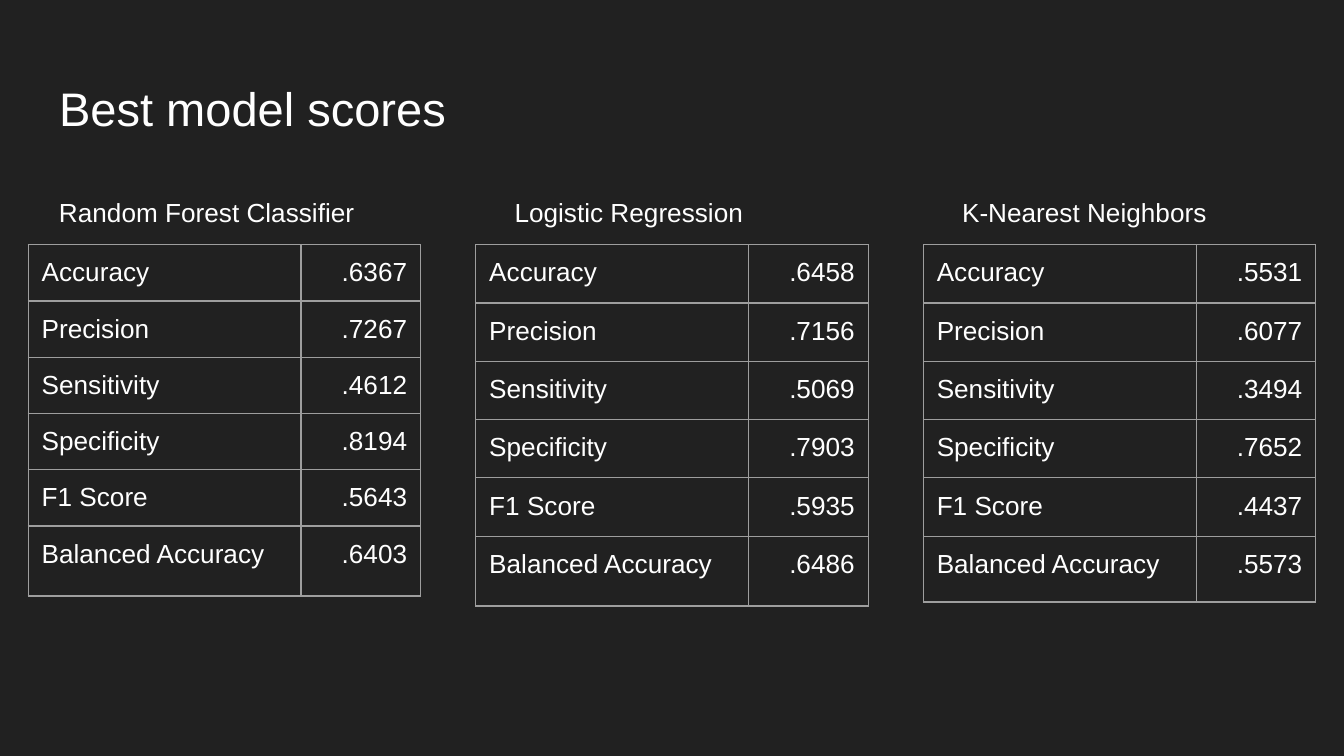
from dataclasses import dataclass

from lxml.etree import SubElement
from pptx import Presentation
from pptx.dml.color import RGBColor
from pptx.enum.text import MSO_ANCHOR, PP_ALIGN
from pptx.oxml.ns import qn
from pptx.util import Inches, Pt


@dataclass(frozen=True)
class Theme:
    background: str = "212121"
    text: str = "FFFFFF"
    border: str = "9E9E9E"
    font: str = "Arial"
    title_size: float = 25.2
    body_size: float = 14
    border_width: float = 0.75
    inset: float = 0.1


THEME = Theme()

# Grid, in inches, on a 16:9 slide
SLIDE_WIDTH = 10
SLIDE_HEIGHT = SLIDE_WIDTH * 9 / 16
MARGIN, COLUMN_PITCH = 0.21, 3.33
TITLE_BOX = (0.34, 0.49, 9.32, 0.63)
LABEL_TOP, LABEL_WIDTH, LABEL_HEIGHT = 1.36, 2.55, 0.44
TABLE_TOP = 1.82
METRIC_WIDTH, SCORE_WIDTH = 2.03, 0.89

METRICS = ("Accuracy", "Precision", "Sensitivity", "Specificity",
           "F1 Score", "Balanced Accuracy")

# Model name, label indent, row height, last row height, scores
MODELS = (
    ("Random Forest Classifier", 0.13, 0.38, 0.52,
     (".6367", ".7267", ".4612", ".8194", ".5643", ".6403")),
    ("Logistic Regression", 0.19, 0.38, 0.52,
     (".6458", ".7156", ".5069", ".7903", ".5935", ".6486")),
    ("K-Nearest Neighbors", 0.19, 0.41, 0.49,
     (".5531", ".6077", ".3494", ".7652", ".4437", ".5573")),
)


def write(frame, text, size, align=PP_ALIGN.LEFT):
    para = frame.paragraphs[0]
    para.text = text
    para.alignment = align
    para.font.size = Pt(size)
    para.font.name = THEME.font
    para.font.color.rgb = RGBColor.from_string(THEME.text)


def set_insets(target):
    """Set equal margins on a text frame or a table cell."""
    target.margin_left = target.margin_right = Inches(THEME.inset)
    target.margin_top = target.margin_bottom = Inches(THEME.inset)
    target.vertical_anchor = MSO_ANCHOR.TOP


def fill_title(slide, text):
    title = slide.shapes.title
    title.left, title.top, title.width, title.height = map(Inches, TITLE_BOX)
    set_insets(title.text_frame)
    write(title.text_frame, text, THEME.title_size)


def add_label(slide, left, text):
    box = slide.shapes.add_textbox(Inches(left), Inches(LABEL_TOP),
                                   Inches(LABEL_WIDTH), Inches(LABEL_HEIGHT))
    box.text_frame.word_wrap = True
    set_insets(box.text_frame)
    write(box.text_frame, text, THEME.body_size)


def add_borders(cell):
    properties = cell._tc.get_or_add_tcPr()
    for position, side in enumerate(("a:lnL", "a:lnR", "a:lnT", "a:lnB")):
        line = properties.makeelement(qn(side), {"w": str(Pt(THEME.border_width))})
        properties.insert(position, line)
        fill = SubElement(line, qn("a:solidFill"))
        SubElement(fill, qn("a:srgbClr"), val=THEME.border)


def fill_cell(cell, text, align):
    cell.fill.background()
    set_insets(cell)
    write(cell.text_frame, text, THEME.body_size, align)
    add_borders(cell)


def add_score_table(slide, left, scores, row_height, last_height):
    heights = [row_height] * (len(METRICS) - 1) + [last_height]
    table = slide.shapes.add_table(
        len(METRICS), 2, Inches(left), Inches(TABLE_TOP),
        Inches(METRIC_WIDTH + SCORE_WIDTH), Inches(sum(heights))).table
    table.first_row = table.horz_banding = False
    for column, width in zip(table.columns, (METRIC_WIDTH, SCORE_WIDTH)):
        column.width = Inches(width)
    for index, (metric, score) in enumerate(zip(METRICS, scores)):
        table.rows[index].height = Inches(heights[index])
        fill_cell(table.cell(index, 0), metric, PP_ALIGN.LEFT)
        fill_cell(table.cell(index, 1), score, PP_ALIGN.RIGHT)


def main():
    deck = Presentation()
    deck.slide_width, deck.slide_height = Inches(SLIDE_WIDTH), Inches(SLIDE_HEIGHT)
    slide = deck.slides.add_slide(deck.slide_layouts[5])
    slide.background.fill.solid()
    slide.background.fill.fore_color.rgb = RGBColor.from_string(THEME.background)

    fill_title(slide, "Best model scores")

    # One labelled table per model
    for index, (name, indent, row_height, last_height, scores) in enumerate(MODELS):
        left = MARGIN + index * COLUMN_PITCH
        add_score_table(slide, left, scores, row_height, last_height)
        add_label(slide, left + indent, name)

    deck.save("out.pptx")


main()
